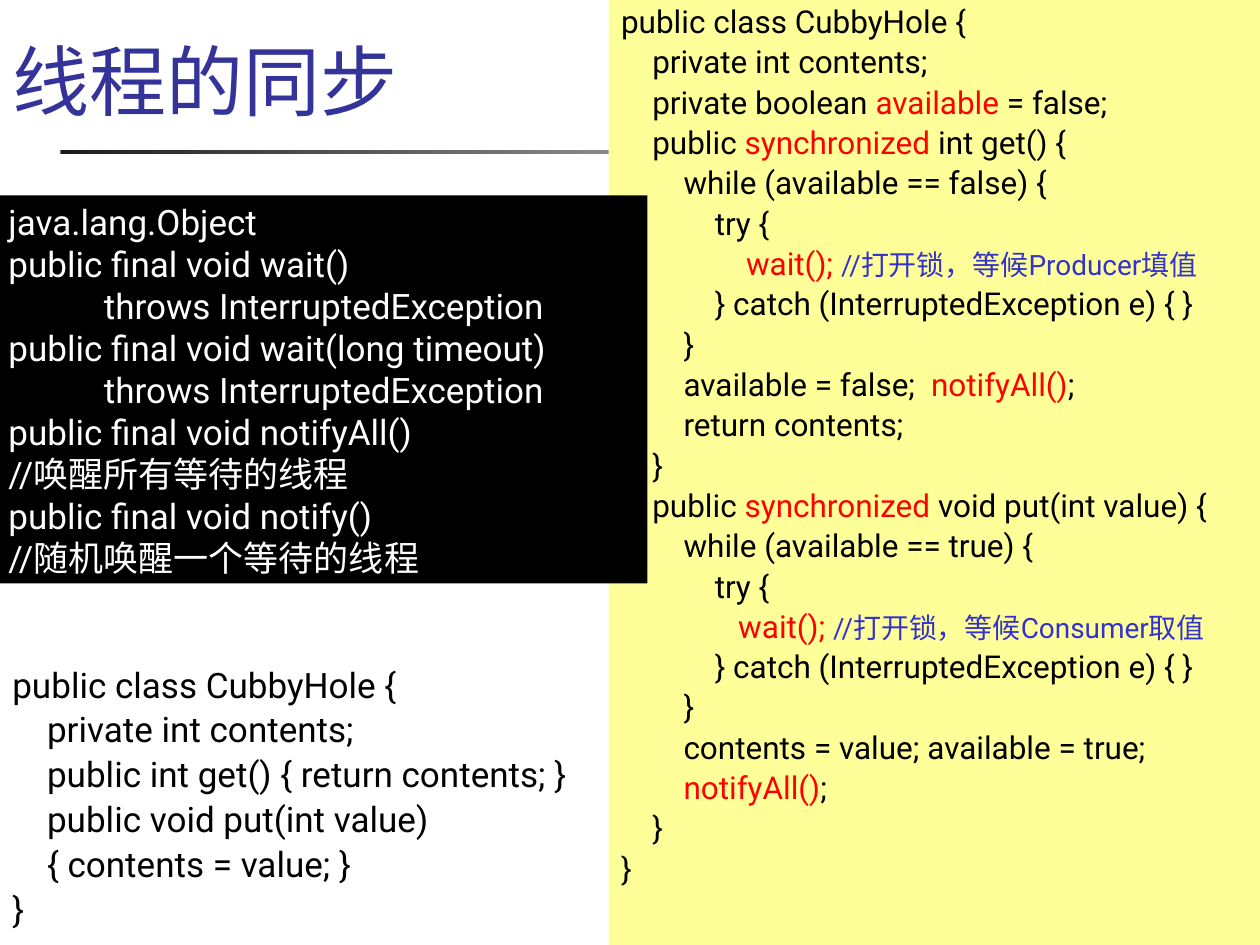
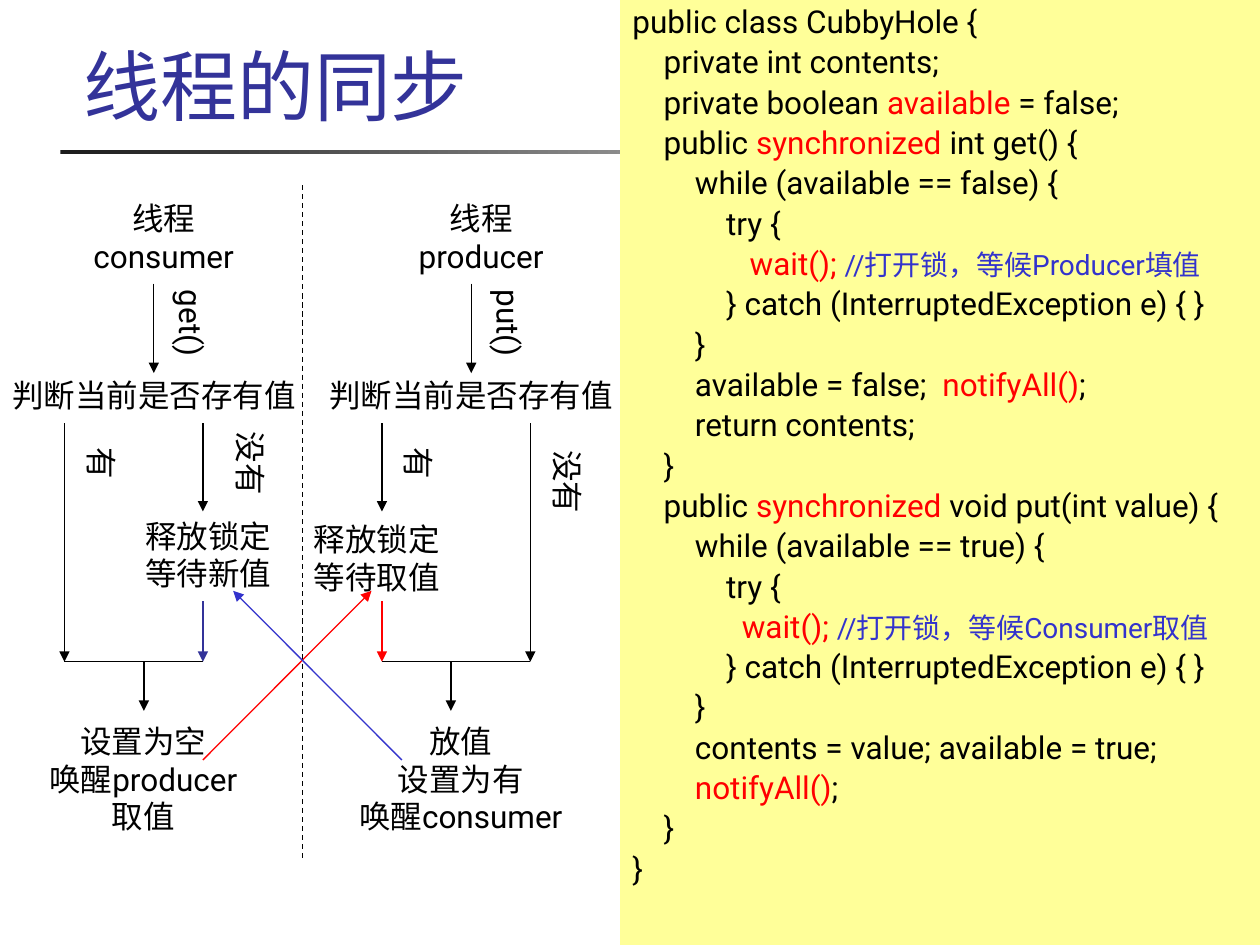
"""Builds two slides on thread synchronization: the code and its flow chart."""
from lxml import etree
from pptx import Presentation
from pptx.dml.color import RGBColor
from pptx.enum.dml import MSO_LINE
from pptx.enum.shapes import MSO_CONNECTOR, MSO_SHAPE
from pptx.enum.text import MSO_ANCHOR, MSO_AUTO_SIZE, PP_ALIGN
from pptx.oxml.ns import qn
from pptx.util import Cm, Pt

LEFT, CENTER = PP_ALIGN.LEFT, PP_ALIGN.CENTER
TOP, MIDDLE, BOTTOM = MSO_ANCHOR.TOP, MSO_ANCHOR.MIDDLE, MSO_ANCHOR.BOTTOM
RECTANGLE, STRAIGHT, DASH = MSO_SHAPE.RECTANGLE, MSO_CONNECTOR.STRAIGHT, MSO_LINE.DASH
NO_AUTOFIT = MSO_AUTO_SIZE.NONE

BLACK = RGBColor(0x00, 0x00, 0x00)
WHITE = RGBColor(0xFF, 0xFF, 0xFF)
CHARCOAL = RGBColor(0x1C, 0x1C, 0x1C)
NAVY = RGBColor(0x33, 0x33, 0x99)
BLUE = RGBColor(0x33, 0x33, 0xCC)
RED = RGBColor(0xFF, 0x00, 0x00)
YELLOW = RGBColor(0xFF, 0xFF, 0x99)

TITLE_FONT, BODY_FONT, HAND_FONT = "Cambria", "Roboto", "Comic Neue"
TITLE = "线程的同步"
SLIDE_WIDTH, SLIDE_HEIGHT = 25.4, 19.05
COLUMN_GAP = 6.4

PLAIN_CLASS = [
    (0, "public class CubbyHole {"),
    (1, "private int contents;"),
    (1, "public int get() { return contents; }"),
    (1, "public void put(int value)"),
    (1, "{ contents = value; }"),
    (0, "}"),
]
OBJECT_METHODS = [
    (0, "java.lang.Object"),
    (0, "public final void wait()"),
    (2.75, "throws InterruptedException"),
    (0, "public final void wait(long timeout)"),
    (2.75, "throws InterruptedException"),
    (0, "public final void notifyAll()"),
    (0, "//唤醒所有等待的线程"),
    (0, "public final void notify()"),
    (0, "//随机唤醒一个等待的线程"),
]


def guarded_loop(state, wait_depth, comment):
    """Returns the code lines of a loop that waits on the given state."""
    return [
        (2, f"while (available == {state}) {{"),
        (3, "try {"),
        (wait_depth, ("wait(); ", RED), (comment, BLUE, 16)),
        (3, "} catch (InterruptedException e) { }"),
        (2, "}"),
    ]


def synchronized_class(get_depth, put_depth):
    """Returns the code lines of the synchronized class."""
    return [
        (0, "public class CubbyHole {"),
        (1, "private int contents;"),
        (1, "private boolean ", ("available", RED), " = false;"),
        (1, "public ", ("synchronized ", RED), "int get() {"),
        *guarded_loop("false", get_depth, "//打开锁，等候Producer填值"),
        (2, "available = false;  ", ("notifyAll()", RED), ";"),
        (2, "return contents;"),
        (1, "}"),
        (1, "public ", ("synchronized", RED), " void put(int value) {"),
        *guarded_loop("true", put_depth, "//打开锁，等候Consumer取值"),
        (2, "contents = value; available = true;"),
        (2, ("notifyAll()", RED), ";"),
        (1, "}"),
        (0, "}"),
    ]


class Builder:
    """Holds the shared style and the current slide."""

    def __init__(self):
        self.deck = Presentation()
        self.deck.slide_width, self.deck.slide_height = Cm(SLIDE_WIDTH), Cm(SLIDE_HEIGHT)
        self.layout = self.deck.slide_layouts[5]
        self.page = None

    def add_page(self, left, top):
        """Adds a slide and places its title."""
        self.page = self.deck.slides.add_slide(self.layout)
        title = self.page.shapes.title
        title.left, title.top, title.width, title.height = Cm(left), Cm(top), Cm(21.64), Cm(2.34)
        frame = title.text_frame
        frame.auto_size = NO_AUTOFIT
        frame.vertical_anchor = BOTTOM
        para = frame.paragraphs[0]
        para.alignment = LEFT
        self.span(para, TITLE, NAVY, 44, TITLE_FONT)

    def rule_on_layout(self):
        """Puts the fading rule below the title on the shared layout."""
        rule = self.rectangle(1.22, 3.02, 22.86, 0.08)
        rule.fill.gradient()
        rule.fill.gradient_angle = 0
        for stop, color in zip(rule.fill.gradient_stops, (CHARCOAL, WHITE)):
            stop.color.rgb = color
        self.layout.shapes.element.append(rule.element)

    def rectangle(self, left, top, width, height):
        """Adds a rectangle without outline or shadow."""
        box = self.page.shapes.add_shape(RECTANGLE, Cm(left), Cm(top), Cm(width), Cm(height))
        box.shadow.inherit = False
        box.line.fill.background()
        return box

    def span(self, para, text, color=BLACK, size=18, font=BODY_FONT):
        """Adds one run of text."""
        span = para.add_run()
        span.text = text
        span.font.name, span.font.size, span.font.color.rgb = font, Pt(size), color

    def paragraphs(self, frame, count):
        """Returns the given number of paragraphs of an empty frame."""
        return [frame.paragraphs[0]] + [frame.add_paragraph() for _ in range(count - 1)]

    def code(self, place, fill, lines, size, color=BLACK, listing=True):
        """Adds a filled box of indented code."""
        box = self.rectangle(*place)
        box.fill.solid()
        box.fill.fore_color.rgb = fill
        frame = box.text_frame
        frame.word_wrap = listing
        frame.vertical_anchor = TOP if listing else MIDDLE
        for para, (depth, *spans) in zip(self.paragraphs(frame, len(lines)), lines):
            para.alignment = LEFT
            if listing:
                para.line_spacing = 0.9
                para.space_before = Pt(0.2 * size)
            properties = para._p.get_or_add_pPr()
            properties.set("marL", str(Cm(0.035 * size * depth)))
            properties.set("indent", "0")
            for item in spans:
                text, *style = (item,) if isinstance(item, str) else item
                self.span(para, text, *(style or [color, size]))

    def label(self, left, top, width, height, *lines, turn=0, first_font=BODY_FONT):
        """Adds centred text without a box or margins."""
        box = self.page.shapes.add_textbox(Cm(left), Cm(top), Cm(width), Cm(height))
        box.rotation = turn
        frame = box.text_frame
        frame.word_wrap = False
        frame.vertical_anchor = MIDDLE
        frame.margin_left = frame.margin_right = frame.margin_top = frame.margin_bottom = Cm(0)
        for index, para in enumerate(self.paragraphs(frame, len(lines))):
            para.alignment = CENTER
            self.span(para, lines[index], font=BODY_FONT if index else first_font)

    def side_label(self, left, top, text):
        """Adds a turned label beside an arrow."""
        self.label(left, top, 1.63, 0.89, text, turn=90)

    def line(self, x1, y1, x2, y2, color=BLACK, arrow=True, dash=None):
        """Adds a thin straight line, by default with an arrowhead."""
        line = self.page.shapes.add_connector(STRAIGHT, Cm(x1), Cm(y1), Cm(x2), Cm(y2))
        line.line.color.rgb = color
        line.line.width = Pt(0.75)
        if dash:
            line.line.dash_style = dash
        properties = line.element.find(qn("p:spPr"))
        if arrow:
            etree.SubElement(properties.find(qn("a:ln")), qn("a:tailEnd"), type="triangle")
        etree.SubElement(properties, qn("a:effectLst"))

    def code_panel(self, left, get_depth, put_depth):
        """Adds the yellow panel that reaches the right edge."""
        place = (left, 0, SLIDE_WIDTH - left, SLIDE_HEIGHT)
        self.code(place, YELLOW, synchronized_class(get_depth, put_depth), 18)

    def thread_column(self, shift, thread, call):
        """Adds the parts that both threads have in common."""
        self.line(3.1 + shift, 5.72, 3.1 + shift, 7.52)
        self.label(1.7 + shift, 3.94, 3.2, 1.68, "线程", thread)
        self.side_label(3.05 + shift, 6.07, call)
        self.label(shift, 7.52, 6.2, 0.89, "判断当前是否存有值")
        self.side_label(1.24 + shift, 8.89, "有")

    def branches(self, through, waiting, release, color):
        """Adds the direct branch, the waiting branch and their junction."""
        self.line(through, 8.53, through, 13.34)
        self.line(waiting, 8.53, waiting, 10.31)
        self.line(through, 13.33, waiting, 13.33, arrow=False)
        self.line(release, 13.33, release, 14.33)
        self.line(waiting, 12.12, waiting, 13.34, color)


def main():
    """Builds and saves the deck."""
    builder = Builder()

    builder.add_page(0, 0.33)
    builder.rule_on_layout()
    builder.code((0, 13.34, 12.27, 5.71), WHITE, PLAIN_CLASS, 20)
    builder.code_panel(12.27, 4, 3.75)
    builder.code((-0.08, 3.94, 13.13, 7.82), BLACK, OBJECT_METHODS, 20, WHITE, listing=False)

    builder.add_page(1.42, 0.43)
    builder.code_panel(12.5, 3.75, 3.5)
    builder.thread_column(0, "consumer", "get()")
    builder.thread_column(COLUMN_GAP, "producer", "put()")
    builder.side_label(4.24, 8.89, "没有")
    builder.side_label(10.64, 9.27, "没有")
    builder.label(2.8, 10.44, 2.8, 1.47, "释放锁定", "等待新值")
    builder.label(6.2, 10.52, 2.8, 1.47, "释放锁定", "等待取值")
    builder.label(0.64, 14.45, 4.5, 2.49, "设置为空", "唤醒producer", "取值")
    builder.label(7.04, 14.45, 4.5, 2.49, "放值", "设置为有", "唤醒consumer",
                  first_font=HAND_FONT)
    builder.line(6.1, 3.73, 6.1, 17.32, arrow=False, dash=DASH)
    builder.branches(1.3, 4.09, 2.9, NAVY)
    builder.branches(10.69, 7.7, 9.09, RED)
    builder.line(4.09, 15.32, 7.49, 11.91, RED)
    builder.line(8.1, 15.32, 4.7, 11.91, BLUE)

    builder.deck.save("out.pptx")


if __name__ == "__main__":
    main()
